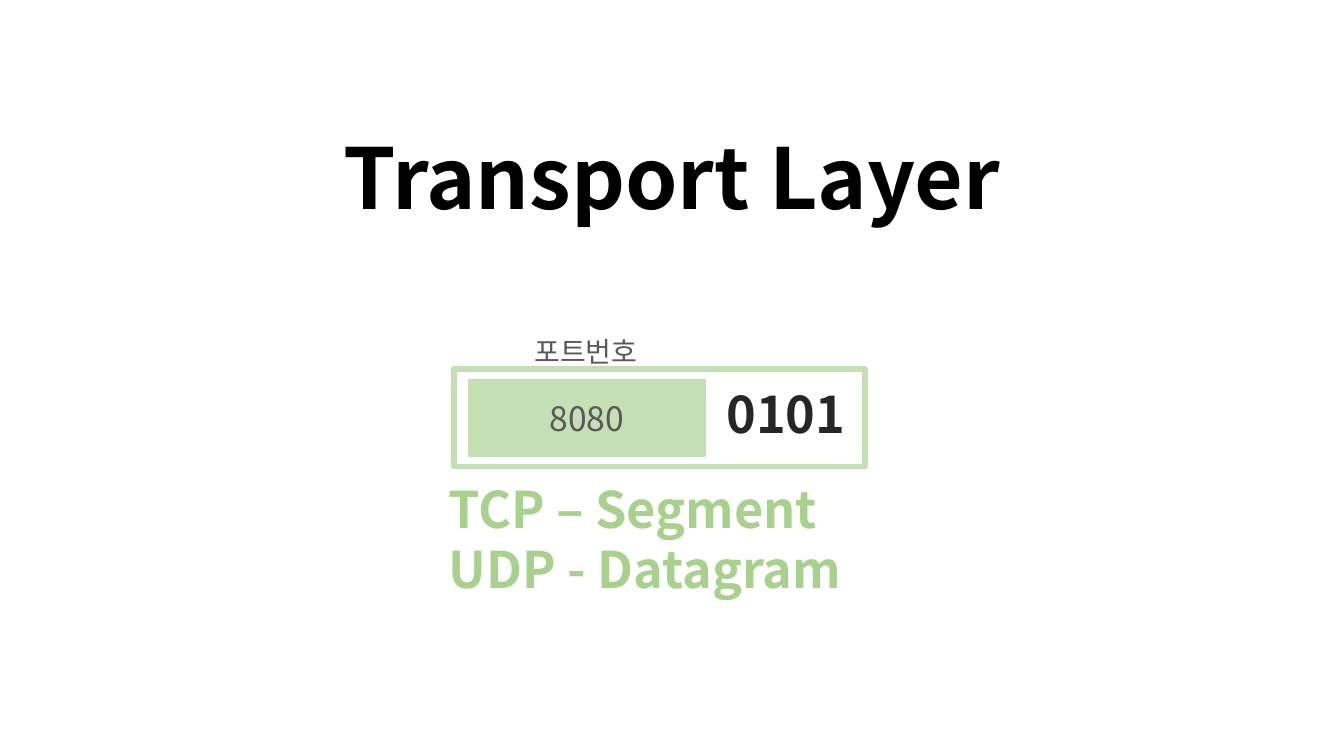
"""Build the Transport Layer slide."""
from lxml.etree import SubElement
from pptx import Presentation
from pptx.dml.color import RGBColor as Rgb
from pptx.enum.shapes import MSO_SHAPE as Form
from pptx.enum.text import MSO_ANCHOR as Anchor, MSO_AUTO_SIZE as Fit, PP_ALIGN as Align
from pptx.oxml.ns import qn
from pptx.util import Pt

FONT = "Noto Sans CJK KR"
PALE, GREEN, GREY, DARK = "C5E0B4", "A9D18E", "595959", "262626"


def px(num):
    return num * 9144


def hue(code):
    return Rgb.from_string(code)


def write(shape, text, size, color, bold=False, align=Align.LEFT, anchor=Anchor.MIDDLE):
    frame = shape.text_frame
    frame.text = text
    frame.word_wrap = True
    frame.auto_size = Fit.NONE
    frame.vertical_anchor = anchor
    for para in frame.paragraphs:
        para.alignment = align
        for run in para.runs:
            font = run.font
            font.name, font.size, font.bold = FONT, Pt(size), bold
            font.color.rgb = hue(color)
            SubElement(font._element, qn("a:ea"), typeface=FONT)
    return frame


def add_text(slide, box, *args, **style):
    label = slide.shapes.add_textbox(*map(px, box))
    return write(label, *args, **style)


def add_rect(slide, box, fill, line, width):
    rect = slide.shapes.add_shape(Form.RECTANGLE, *map(px, box))
    rect.shadow.inherit = False
    if fill:
        rect.fill.solid()
        rect.fill.fore_color.rgb = hue(fill)
    else:
        rect.fill.background()
    rect.line.color.rgb = hue(line)
    rect.line.width = Pt(width)
    return rect


def add_title(slide, box, text):
    title = slide.shapes.title
    title.left, title.top, title.width, title.height = map(px, box)
    frame = write(title, text, 60, "000000", True, Align.CENTER)
    frame.paragraphs[0].line_spacing = 0.9


def main():
    deck = Presentation()
    deck.slide_width, deck.slide_height = px(1333), px(750)
    slide = deck.slides.add_slide(deck.slide_layouts[5])
    add_title(slide, (221, 131, 891, 100), "Transport Layer")
    add_rect(slide, (450, 366, 408, 97), None, PALE, 4)
    units = add_text(slide, (435, 465, 439, 199), "TCP – Segment\nUDP - Datagram",
                     36, GREEN, bold=True, anchor=Anchor.TOP)
    units.margin_top = px(9)
    port = add_rect(slide, (463, 375, 238, 79), PALE, "FFFFFF", 1)
    write(port, "8080", 24, GREY, align=Align.CENTER)
    add_text(slide, (701, 376, 157, 69), "0101", 36, DARK, bold=True, align=Align.CENTER)
    add_text(slide, (520, 312, 221, 74), "포트번호", 20, GREY)
    deck.save("out.pptx")


if __name__ == "__main__":
    main()
